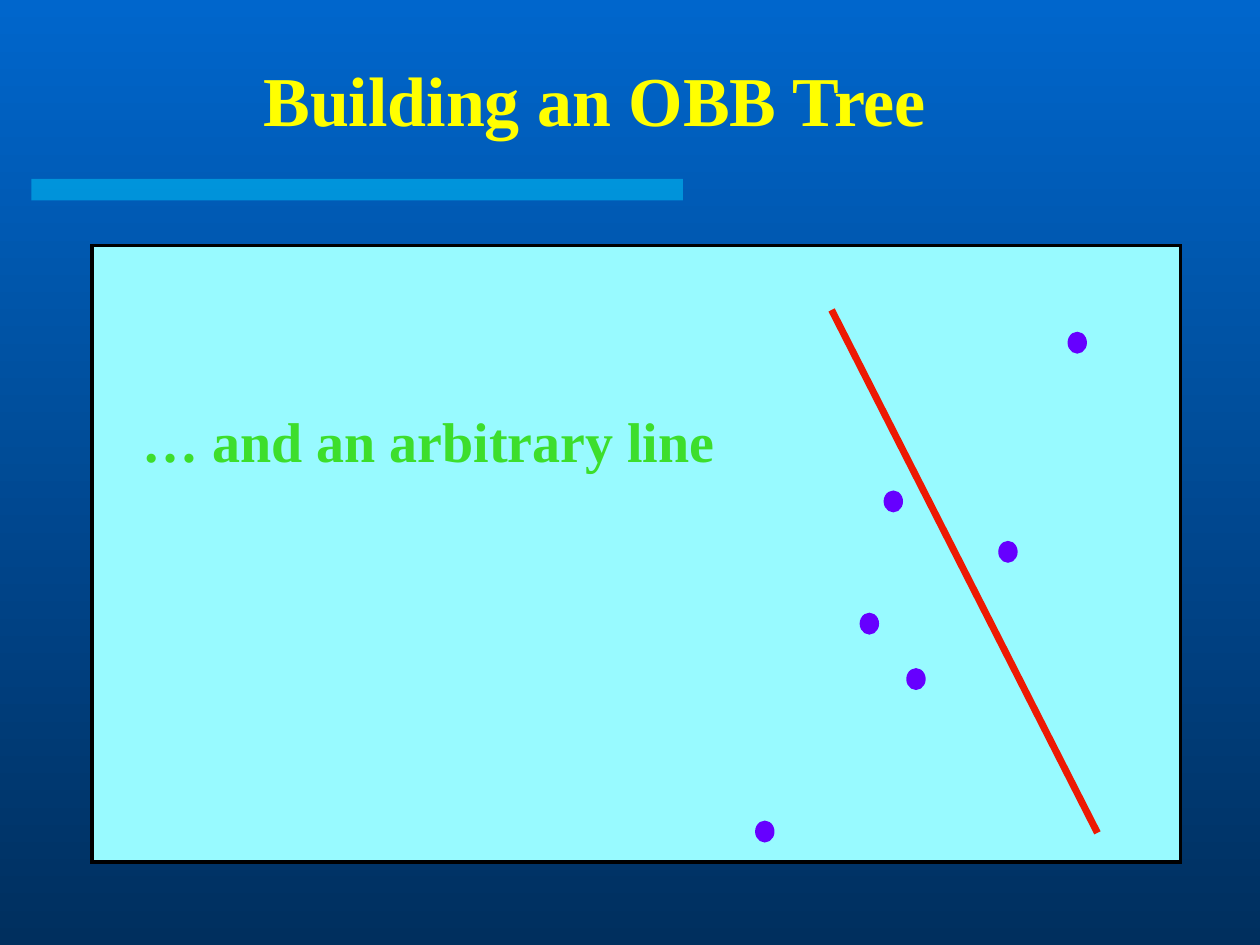
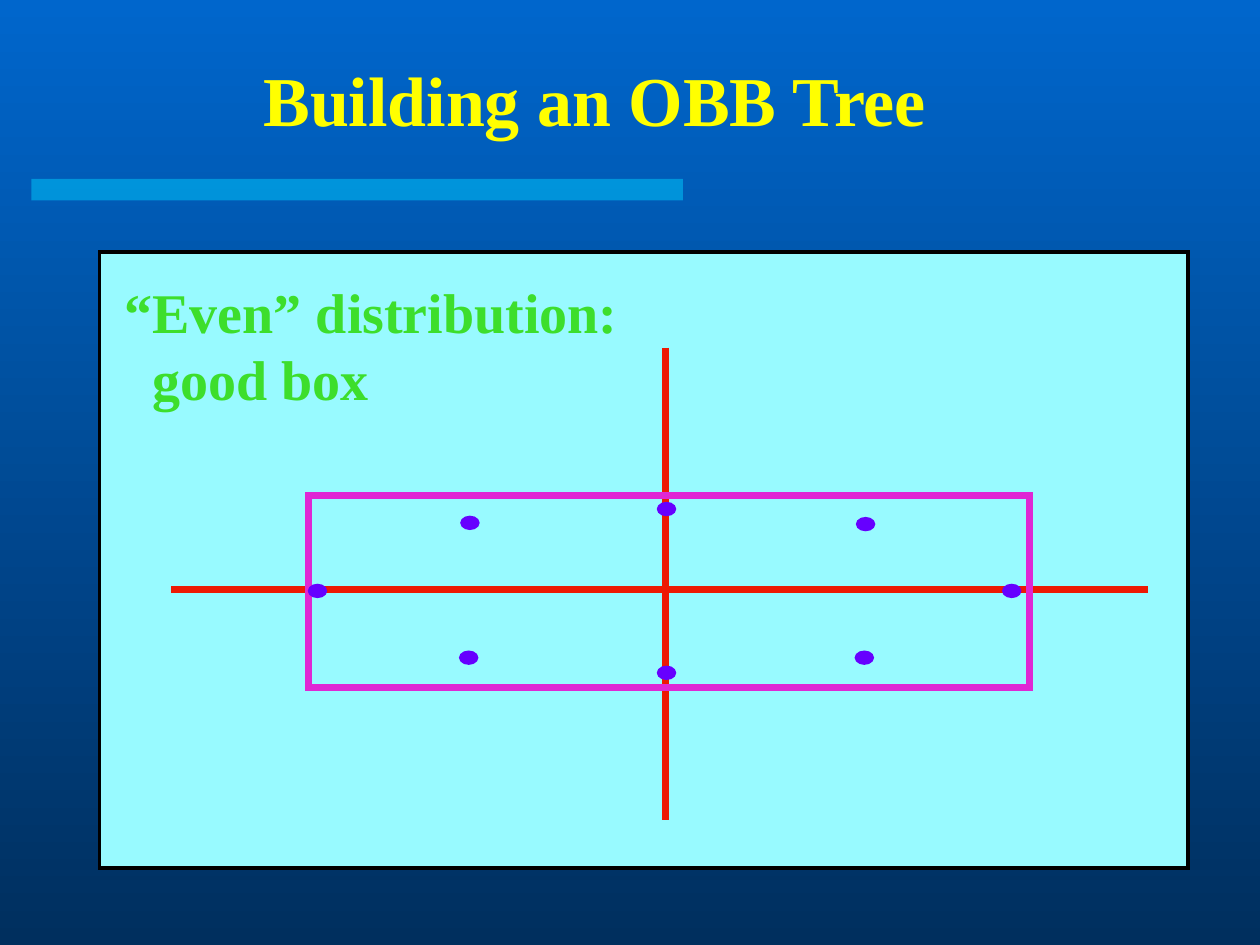
from dataclasses import dataclass

from lxml.etree import SubElement
from pptx import Presentation
from pptx.dml.color import RGBColor
from pptx.enum.shapes import MSO_CONNECTOR as Connector, MSO_SHAPE as Shape
from pptx.enum.text import MSO_ANCHOR as Anchor, MSO_AUTO_SIZE as AutoSize, PP_ALIGN as Align
from pptx.oxml.ns import qn
from pptx.util import Inches, Pt


@dataclass(frozen=True)
class Theme:
    font: str = "Times New Roman"
    title_size: int = 40
    caption_size: int = 32
    sky: str = "0066CC"
    deep: str = "002F5E"
    band: str = "00CCFF"
    panel: str = "98FAFF"
    frame: str = "000000"
    title: str = "FFFF00"
    caption: str = "3DDE2C"
    point: str = "6600FF"
    axis: str = "ED1903"
    bounds: str = "DF27D4"


class SlideBuilder:
    """Draw the elements of a geometry lecture on the current slide."""

    def __init__(self, deck, theme):
        self.deck = deck
        self.theme = theme
        self.page = None

    def start(self):
        self.page = self.deck.slides.add_slide(self.deck.slide_layouts[6])
        fill = self.page.background.fill
        fill.gradient()
        fill.gradient_angle = 270
        for stop, color in zip(fill.gradient_stops, (self.theme.sky, self.theme.deep)):
            stop.color.rgb = RGBColor.from_string(color)
        self.band()

    def shape(self, kind, left, top, width, height, fill=None, line=None, weight=1):
        shape = self.page.shapes.add_shape(
            kind, Inches(left), Inches(top), Inches(width), Inches(height))
        shape.shadow.inherit = False
        if fill:
            shape.fill.solid()
            shape.fill.fore_color.rgb = RGBColor.from_string(fill)
        else:
            shape.fill.background()
        if line:
            shape.line.color.rgb = RGBColor.from_string(line)
            shape.line.width = Pt(weight)
            outline = shape._element.spPr.find(qn("a:ln"))
            SubElement(outline, qn("a:miter"), lim="800000")
        else:
            shape.line.fill.background()
        return shape

    def band(self):
        band = self.shape(Shape.RECTANGLE, 0.25, 1.42, 5.17, 0.17, self.theme.band)
        color = band._element.spPr.find(qn("a:solidFill"))[0]
        SubElement(color, qn("a:alpha"), val="50000")

    def panel(self, left, top):
        self.shape(Shape.RECTANGLE, left, top, 8.64, 4.89,
                   self.theme.panel, self.theme.frame, 2)

    def bounds(self, left, top, width, height):
        self.shape(Shape.RECTANGLE, left, top, width, height,
                   line=self.theme.bounds, weight=4)

    def points(self, corners, width, height):
        for left, top in corners:
            self.shape(Shape.OVAL, left, top, width, height,
                       self.theme.point, self.theme.point)

    def line(self, start, end):
        ends = [Inches(value) for value in (*start, *end)]
        line = self.page.shapes.add_connector(Connector.STRAIGHT, *ends)
        line.line.color.rgb = RGBColor.from_string(self.theme.axis)
        line.line.width = Pt(4)
        SubElement(line._element.spPr, qn("a:effectLst"))

    def text(self, lines, left, top, width, height, size, color, align=Align.LEFT):
        box = self.page.shapes.add_textbox(
            Inches(left), Inches(top), Inches(width), Inches(height))
        frame = box.text_frame
        frame.text = "\n".join(lines)
        for para in frame.paragraphs:
            para.alignment = align
            para.font.name = self.theme.font
            para.font.size = Pt(size)
            para.font.bold = True
            para.font.color.rgb = RGBColor.from_string(color)
        return frame

    def title(self, words):
        frame = self.text([words], 0.29, 0.32, 8.86, 0.93,
                          self.theme.title_size, self.theme.title, Align.CENTER)
        frame.word_wrap = True
        frame.vertical_anchor = Anchor.MIDDLE

    def caption(self, lines, left, top, width, height):
        frame = self.text(lines, left, top, width, height,
                          self.theme.caption_size, self.theme.caption)
        frame.word_wrap = False
        frame.auto_size = AutoSize.SHAPE_TO_FIT_TEXT
        for para in frame.paragraphs[1:]:
            para._p.get_or_add_pPr().set("marL", str(Inches(0.22)))


TITLE = "Building an OBB Tree"
SCATTERED_POINTS = [(8.48, 2.64), (7.02, 3.9), (7.93, 4.3),
                    (6.83, 4.87), (7.2, 5.31), (6, 6.52)]
EVEN_POINTS = [(2.45, 4.64), (7.96, 4.64), (5.22, 3.99), (5.22, 5.29),
               (3.66, 4.1), (3.65, 5.17), (6.79, 5.17), (6.8, 4.11)]


def arbitrary_line_slide(builder):
    builder.start()
    builder.panel(0.73, 1.95)
    builder.caption(["… and an arbitrary line"], 1.03, 3.18, 4.75, 0.63)
    builder.points(SCATTERED_POINTS, 0.14, 0.16)
    builder.line((6.6, 2.46), (8.71, 6.61))
    builder.title(TITLE)


def even_distribution_slide(builder):
    builder.start()
    builder.panel(0.79, 2)
    builder.caption(["“Even” distribution:", "good box"], 0.89, 2.15, 4.12, 1.17)
    builder.line((9.11, 4.68), (1.36, 4.68))
    builder.line((5.28, 2.76), (5.28, 6.51))
    builder.bounds(2.45, 3.93, 5.72, 1.53)
    builder.points(EVEN_POINTS, 0.14, 0.1)
    builder.title(TITLE)


def main():
    deck = Presentation()
    deck.slide_width = Inches(10)
    deck.slide_height = Inches(7.5)
    builder = SlideBuilder(deck, Theme())
    arbitrary_line_slide(builder)
    even_distribution_slide(builder)
    deck.save("out.pptx")


if __name__ == "__main__":
    main()
